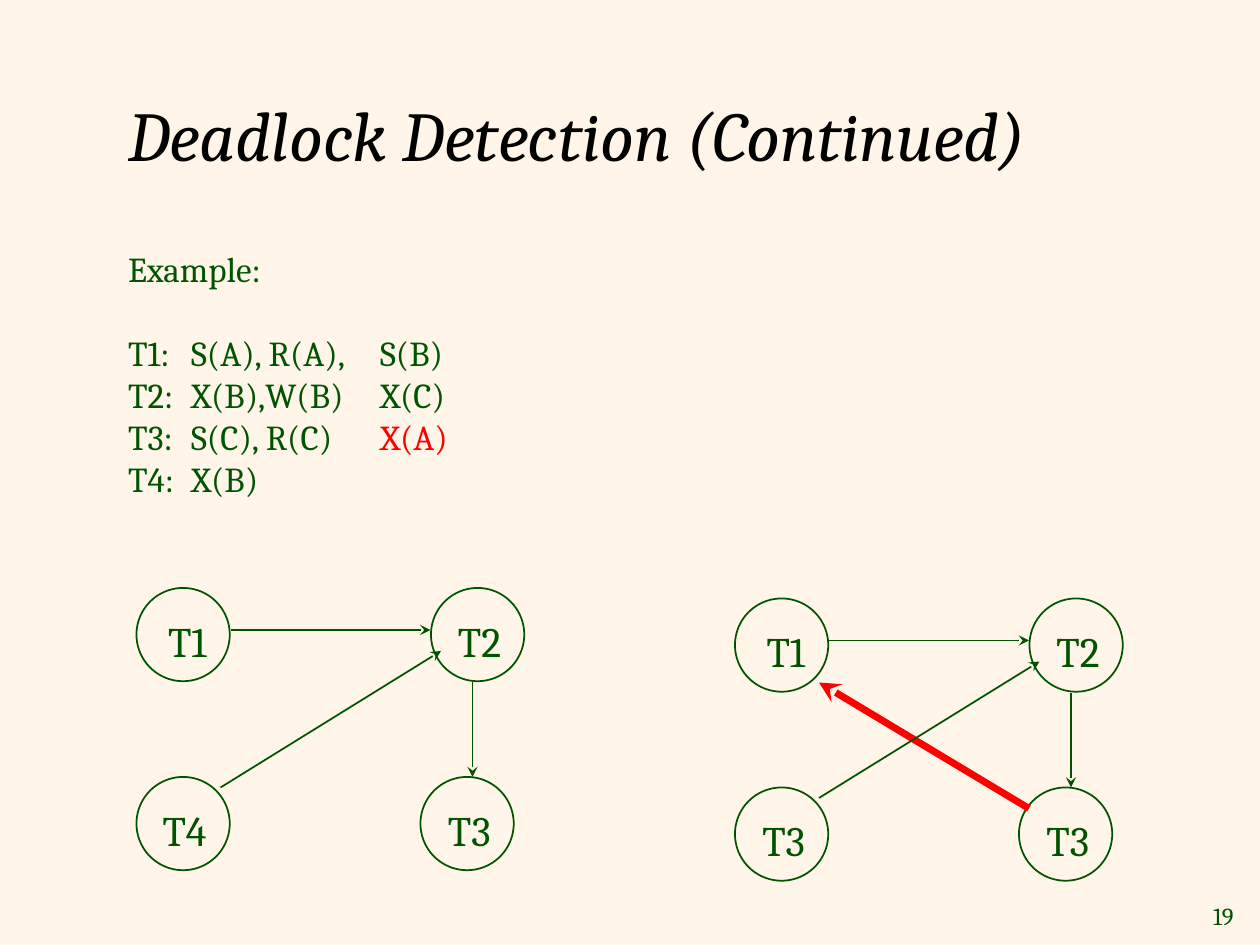
from dataclasses import dataclass
from lxml import etree
from pptx import Presentation
from pptx.dml.color import RGBColor
from pptx.enum.shapes import MSO_CONNECTOR, MSO_SHAPE
from pptx.enum.text import MSO_ANCHOR, MSO_AUTO_SIZE, PP_ALIGN
from pptx.oxml.ns import qn
from pptx.util import Pt

OVAL = MSO_SHAPE.OVAL
LINE = MSO_CONNECTOR.STRAIGHT
LEFT, RIGHT = PP_ALIGN.LEFT, PP_ALIGN.RIGHT
TOP, MID = MSO_ANCHOR.TOP, MSO_ANCHOR.MIDDLE
FIXED = MSO_AUTO_SIZE.NONE


@dataclass(frozen=True)
class Theme:
    font: str = "Cambria"
    paper: RGBColor = RGBColor(0xFF, 0xF6, 0xE9)
    ink: RGBColor = RGBColor(0x00, 0x54, 0x00)
    black: RGBColor = RGBColor(0, 0, 0)
    red: RGBColor = RGBColor(0xFF, 0, 0)
    title: int = 40
    body: int = 20
    node: int = 24
    page: int = 14


THEME = Theme()


def write(para, text, size, color=THEME.ink, italic=False, align=LEFT):
    para.alignment = align
    run = para.add_run()
    run.text = text
    font = run.font
    font.name, font.size, font.italic = THEME.font, Pt(size), italic
    font.color.rgb = color


def place(shape, box):
    shape.left, shape.top, shape.width, shape.height = map(Pt, box)


def label(slide, box, text, size, anchor=TOP):
    frame = slide.shapes.add_textbox(*map(Pt, box)).text_frame
    frame.word_wrap = False
    frame.vertical_anchor = anchor
    write(frame.paragraphs[0], text, size, align=RIGHT)


def head(slide, box, text):
    shape = slide.shapes.title
    place(shape, box)
    frame = shape.text_frame
    frame.auto_size = FIXED
    frame.vertical_anchor = MID
    write(frame.paragraphs[0], text, THEME.title, THEME.black, italic=True)


def set_tabs(para, stops):
    props = para._p.get_or_add_pPr()
    props.set("marL", "0")
    props.set("indent", "0")
    etree.SubElement(props, qn("a:buNone"))
    tabs = etree.SubElement(props, qn("a:tabLst"))
    for stop in stops:
        etree.SubElement(tabs, qn("a:tab"), pos=str(Pt(stop)), algn="l")


def body(slide, box, rows):
    shape = slide.placeholders[1]
    place(shape, box)
    frame = shape.text_frame
    frame.auto_size = FIXED
    frame.vertical_anchor = TOP
    for i, (name, *steps) in enumerate(rows):
        para = frame.paragraphs[0] if i == 0 else frame.add_paragraph()
        para.space_before = Pt(24 if i == 1 else 0)
        para.line_spacing = 1.0
        set_tabs(para, [step[0] for step in steps])
        write(para, name, THEME.body)
        for _, text, color in steps:
            write(para, "\t" + text, THEME.body, color)


def arrow(slide, ends, color, width):
    link = slide.shapes.add_connector(LINE, *map(Pt, ends))
    link.line.color.rgb = color
    link.line.width = Pt(width)
    etree.SubElement(link.line._get_or_add_ln(), qn("a:tailEnd"), type="stealth")
    etree.SubElement(link._element.spPr, qn("a:effectLst"))


def graph(slide, box, names, edges):
    x, y, wide, high = box
    size = 53.3
    spots = [(0, 0), (wide - size, 0), (0, high - size), (wide - size - 6, high - size)]
    for dx, dy in spots:
        ring = slide.shapes.add_shape(OVAL, *map(Pt, (x + dx, y + dy, size, size)))
        ring.shadow.inherit = False
        ring.fill.background()
        ring.line.color.rgb = THEME.ink
        ring.line.width = Pt(1)
    for (dx, dy), name in zip(spots, names):
        label(slide, (x + dx + 6.2, y + dy + 12, 41, 36), name, THEME.node)
    for (x1, y1, x2, y2), color, width in edges:
        arrow(slide, (x + x1, y + y1, x + x2, y + y2), color, width)


def main():
    deck = Presentation()
    deck.slide_width, deck.slide_height = Pt(720), Pt(540)
    slide = deck.slides.add_slide(deck.slide_layouts[1])
    fill = slide.background.fill
    fill.solid()
    fill.fore_color.rgb = THEME.paper

    ink, red = THEME.ink, THEME.red
    label(slide, (680.4, 511.2, 31.7, 23.8), "19", THEME.page, MID)
    head(slide, (66, 33, 612, 87), "Deadlock Detection (Continued)")
    body(slide, (66, 138, 612, 180), [
        ("Example:",),
        ("T1:", (31.5, "S(A), R(A),", ink), (209.7, "S(B)", ink)),
        ("T2:", (111.4, "X(B),W(B)", ink), (358.3, "X(C)", ink)),
        ("T3:", (260, "S(C), R(C)", ink), (476, "X(A)", red)),
        ("T4:", (417.2, "X(B)", ink)),
    ])

    across = ((54, 24, 168, 24), ink, 1)
    down = ((192, 54, 192, 108), ink, 1)
    rise = ((48, 114, 174, 36), ink, 1)
    back = ((168, 120, 48, 48), red, 4)
    wide, high = 221.6, 161.3
    graph(slide, (78, 336, wide, high), ["T1", "T2", "T4", "T3"],
          [across, down, rise])
    graph(slide, (420, 342, wide, high), ["T1", "T2", "T3", "T3"],
          [across, down, back, rise])
    deck.save("out.pptx")


main()
